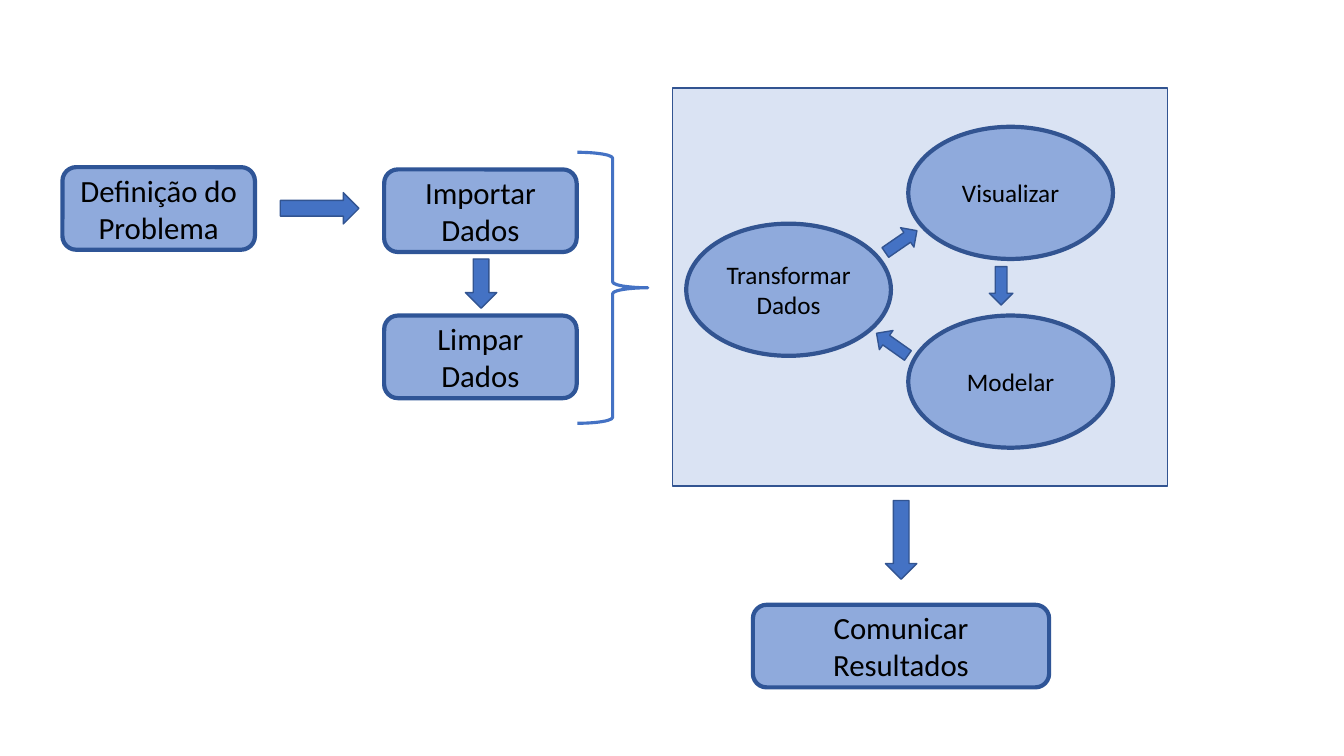
from dataclasses import dataclass

from pptx import Presentation
from pptx.dml.color import RGBColor
from pptx.enum.shapes import MSO_SHAPE as Preset
from pptx.enum.text import MSO_ANCHOR as Anchor, PP_ALIGN as Align
from pptx.shapes.autoshape import Shape
from pptx.slide import Slide
from pptx.util import Pt

BLACK = RGBColor(0x00, 0x00, 0x00)
PANEL_BLUE = RGBColor(0xDA, 0xE3, 0xF3)
NODE_BLUE = RGBColor(0x8F, 0xAA, 0xDC)
ARROW_BLUE = RGBColor(0x44, 0x72, 0xC4)
STEP_EDGE = RGBColor(0x2F, 0x55, 0x97)
DARK_EDGE = RGBColor(0x32, 0x54, 0x91)

FONT = "Calibri"
STEP_WIDTH, STEP_HEIGHT = 137.5, 59
CYCLE_WIDTH, CYCLE_HEIGHT = 146.2, 94.4
IMPORT_LEFT = 274.4
CYCLE_RIGHT_LEFT = 648.8
LOWER_ROW_TOP = 225.4


@dataclass(frozen=True)
class Box:
    left: float
    top: float
    width: float
    height: float


@dataclass(frozen=True)
class NodeStyle:
    preset: Preset
    edge: RGBColor
    text_size: float


@dataclass(frozen=True)
class Node:
    text: str
    box: Box
    style: NodeStyle


@dataclass(frozen=True)
class Arrow:
    box: Box
    rotation: float = 0


STEP = NodeStyle(Preset.ROUNDED_RECTANGLE, STEP_EDGE, 22)
CYCLE = NodeStyle(Preset.OVAL, DARK_EDGE, 18)


def step(text: str, left: float, top: float, width: float = STEP_WIDTH) -> Node:
    return Node(text, Box(left, top, width, STEP_HEIGHT), STEP)


def cycle_stage(text: str, left: float, top: float) -> Node:
    return Node(text, Box(left, top, CYCLE_WIDTH, CYCLE_HEIGHT), CYCLE)


def flow_arrow(left: float, top: float, length: float, rotation: float = 0) -> Arrow:
    return Arrow(Box(left, top, length, 22.4), rotation)


def cycle_arrow(left: float, top: float, rotation: float) -> Arrow:
    return Arrow(Box(left, top, 27.4, 16.8), rotation)


PANEL = Box(480.2, 62.8, 353.6, 284.4)
BRACE = Box(412.4, 108.8, 50.4, 193.6)

NODES = [
    step("Definição do Problema", 44.6, 119.4),
    step("Importar Dados", IMPORT_LEFT, 121),
    step("Limpar Dados", IMPORT_LEFT, LOWER_ROW_TOP),
    step("Comunicar Resultados", 537.8, 432, 211.6),
    cycle_stage("Transformar Dados", 490.2, 159.8),
    cycle_stage("Visualizar", CYCLE_RIGHT_LEFT, 90.6),
    cycle_stage("Modelar", CYCLE_RIGHT_LEFT, LOWER_ROW_TOP),
]

ARROWS = [
    flow_arrow(200.2, 137.6, 56.2),
    flow_arrow(326, 191.4, 35.2, 90),
    flow_arrow(615.6, 374.4, 56.2, 90),
    cycle_arrow(630, 164.2, 325.4),
    cycle_arrow(701.4, 195.8, 90),
    cycle_arrow(623.6, 237.6, 215.3),
]


def add_preset(page: Slide, preset: Preset, box: Box, fill: RGBColor | None,
               edge: RGBColor, weight: float) -> Shape:
    """Add a shadowless preset shape; a fill of None leaves it open."""
    shape = page.shapes.add_shape(
        preset, Pt(box.left), Pt(box.top), Pt(box.width), Pt(box.height))
    shape.shadow.inherit = False
    if fill is None:
        shape.fill.background()
    else:
        shape.fill.solid()
        shape.fill.fore_color.rgb = fill
    shape.line.color.rgb = edge
    shape.line.width = Pt(weight)
    return shape


def add_node(page: Slide, node: Node) -> None:
    style = node.style
    shape = add_preset(page, style.preset, node.box, NODE_BLUE, style.edge, 3)
    frame = shape.text_frame
    frame.word_wrap = True
    frame.vertical_anchor = Anchor.MIDDLE
    para = frame.paragraphs[0]
    para.alignment = Align.CENTER
    span = para.add_run()
    span.text = node.text
    span.font.name = FONT
    span.font.size = Pt(style.text_size)
    span.font.color.rgb = BLACK


def add_arrow(page: Slide, arrow: Arrow) -> None:
    shape = add_preset(page, Preset.RIGHT_ARROW, arrow.box, ARROW_BLUE, DARK_EDGE, 1)
    shape.rotation = arrow.rotation


def main() -> None:
    deck = Presentation()
    deck.slide_width, deck.slide_height = Pt(960), Pt(540)
    page = deck.slides.add_slide(deck.slide_layouts[6])
    add_preset(page, Preset.RECTANGLE, PANEL, PANEL_BLUE, DARK_EDGE, 1)
    add_preset(page, Preset.RIGHT_BRACE, BRACE, None, ARROW_BLUE, 2.25)
    for node in NODES:
        add_node(page, node)
    for arrow in ARROWS:
        add_arrow(page, arrow)
    deck.save("out.pptx")


if __name__ == "__main__":
    main()
